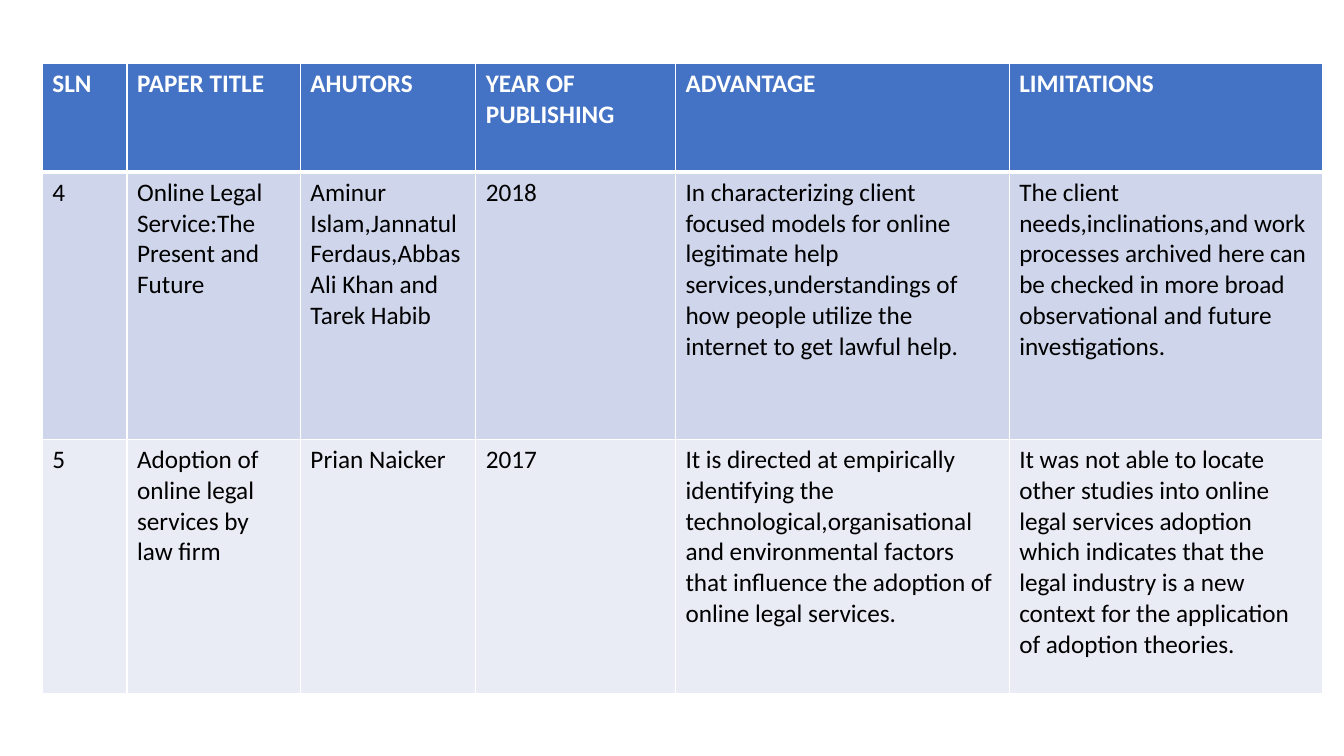
from lxml.etree import SubElement
from pptx import Presentation
from pptx.dml.color import RGBColor
from pptx.oxml.ns import qn
from pptx.util import Inches, Pt

WHITE = RGBColor(0xFF, 0xFF, 0xFF)
BLACK = RGBColor(0x00, 0x00, 0x00)
HEADER_BLUE = RGBColor(0x44, 0x72, 0xC4)
BAND_DARK = RGBColor(0xCF, 0xD5, 0xEA)
BAND_LIGHT = RGBColor(0xE9, 0xEB, 0xF5)

COLUMN_WIDTHS = [0.84, 1.72, 1.74, 1.98, 3.31, 3.11]
ROW_HEIGHTS = [1.08, 2.65, 2.52]
ROW_FILLS = [HEADER_BLUE, BAND_DARK, BAND_LIGHT]

PAPERS = [
    ["SLN", "PAPER TITLE", "AHUTORS", "YEAR OF PUBLISHING", "ADVANTAGE", "LIMITATIONS"],
    ["4",
     "Online Legal Service:The Present and Future",
     "Aminur Islam,Jannatul Ferdaus,Abbas Ali Khan and Tarek Habib",
     "2018",
     "In characterizing client focused models for online legitimate help "
     "services,understandings of how people utilize the internet to get lawful help.",
     "The client needs,inclinations,and work processes archived here can be checked "
     "in more broad observational and future investigations."],
    ["5",
     "Adoption of online legal services by law firm",
     "Prian Naicker",
     "2017",
     "It is directed at empirically identifying the technological,organisational and "
     "environmental factors that influence the adoption of online legal services.",
     "It was not able to locate other studies into online legal services adoption "
     "which indicates that the legal industry is a new context for the application "
     "of adoption theories."],
]


def add_border(cell, side, width):
    line = SubElement(cell._tc.get_or_add_tcPr(), qn(f"a:ln{side}"), w=str(Pt(width)))
    fill = SubElement(line, qn("a:solidFill"))
    SubElement(fill, qn("a:srgbClr"), val=str(WHITE))


prs = Presentation()
prs.slide_width = Inches(13.33)
prs.slide_height = Inches(7.5)
slide = prs.slides.add_slide(prs.slide_layouts[6])

# Literature table: grid
survey = slide.shapes.add_table(
    len(ROW_HEIGHTS), len(COLUMN_WIDTHS), Inches(0.42), Inches(0.63),
    Inches(sum(COLUMN_WIDTHS)), Inches(sum(ROW_HEIGHTS))).table
for column, width in zip(survey.columns, COLUMN_WIDTHS):
    column.width = Inches(width)
for row, height in zip(survey.rows, ROW_HEIGHTS):
    row.height = Inches(height)

# Literature table: cells, with a thick rule under the header
for r, (paper, row_fill) in enumerate(zip(PAPERS, ROW_FILLS)):
    is_header = r == 0
    for c, wording in enumerate(paper):
        cell = survey.cell(r, c)
        for side in "LRTB":
            thick = (is_header and side == "B") or (r == 1 and side == "T")
            add_border(cell, side, 3 if thick else 1)
        cell.fill.solid()
        cell.fill.fore_color.rgb = row_fill
        run = cell.text_frame.paragraphs[0].add_run()
        run.text = wording
        run.font.name = "Calibri"
        run.font.size = Pt(18)
        run.font.bold = is_header
        run.font.color.rgb = WHITE if is_header else BLACK

prs.save("out.pptx")
